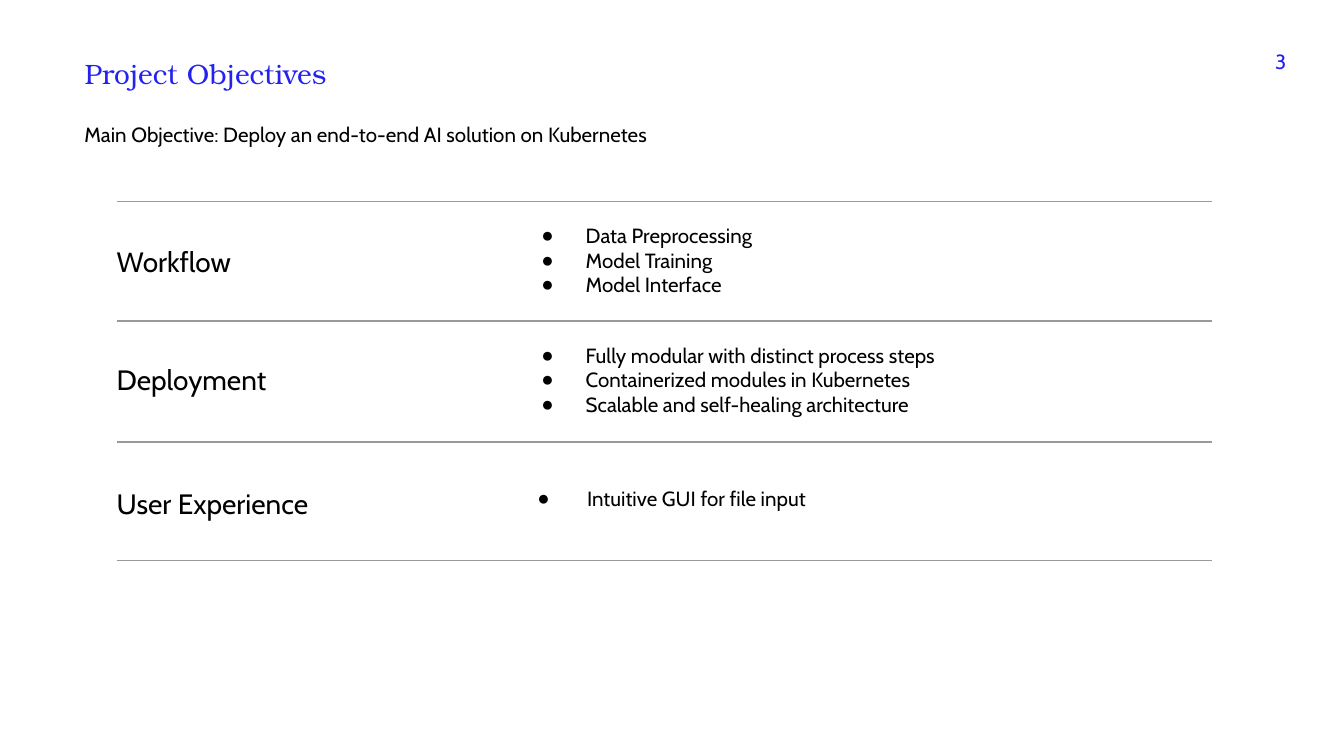
"""Build the project objectives slide with ruled rows of headings and bullets."""
from lxml.etree import SubElement
from pptx import Presentation
from pptx.dml.color import RGBColor
from pptx.enum.shapes import MSO_CONNECTOR
from pptx.enum.text import MSO_ANCHOR, MSO_AUTO_SIZE, PP_ALIGN
from pptx.oxml.ns import qn
from pptx.util import Inches, Pt

TITLE = "Project Objectives"
SUBTITLE = "Main Objective: Deploy an end-to-end AI solution on Kubernetes"
PAGE_NUMBER = "3"
OBJECTIVES = [
    {"heading": "Workflow", "heading_top": 1.72, "bullets_top": 1.56,
     "bullets_height": 0.77, "bullets_left": 3.76, "indent": (0.5, -0.33),
     "bullets": ["Data Preprocessing", "Model Training", "Model Interface"]},
    {"heading": "Deployment", "heading_top": 2.6, "bullets_top": 2.45,
     "bullets_height": 0.58, "bullets_left": 3.76, "indent": (0.5, -0.33),
     "bullets": ["Fully modular with distinct process steps",
                 "Containerized modules in Kubernetes",
                 "Scalable and self-healing architecture"]},
    {"heading": "User Experience", "heading_top": 3.52, "bullets_top": 3.52,
     "bullets_height": 0.36, "bullets_left": 3.73, "indent": (0.54, -0.37),
     "bullets": ["Intuitive GUI for file input"]},
]
RULE_TOPS = [1.5, 2.39, 3.29, 4.17]
RULE_LEFT, RULE_RIGHT = 0.87, 9.02

COLORS = {"text": "000000", "accent": "2322EF", "rule": "999999"}
STYLES = {
    "title": {"name": "TeX Gyre Bonum", "size": Pt(15), "color": "accent"},
    "heading": {"name": "Cabin", "size": Pt(15), "color": "text"},
    "body": {"name": "Cabin", "size": Pt(11), "color": "text"},
    "number": {"name": "Cabin", "size": Pt(11), "color": "accent"},
}
FRAME = {
    "word_wrap": True, "auto_size": MSO_AUTO_SIZE.NONE,
    "vertical_anchor": MSO_ANCHOR.TOP,
    "margin_left": Inches(0.1), "margin_right": Inches(0.1),
    "margin_top": Inches(0.1), "margin_bottom": Inches(0.1),
}


def write_text(shape, lines, style, alignment=PP_ALIGN.LEFT):
    """Fill a shape with one paragraph per line in a named style."""
    frame = shape.text_frame
    for name, value in FRAME.items():
        setattr(frame, name, value)
    frame.text = "\n".join(lines)
    for paragraph in frame.paragraphs:
        paragraph.alignment = alignment
        font = paragraph.runs[0].font
        for name in ("name", "size"):
            setattr(font, name, STYLES[style][name])
        font.color.rgb = RGBColor.from_string(COLORS[STYLES[style]["color"]])


def add_text(slide, box, lines, style, alignment=PP_ALIGN.LEFT):
    """Add a text box at left, top, width and height in inches."""
    shape = slide.shapes.add_textbox(*map(Inches, box))
    write_text(shape, lines, style, alignment)
    return shape


def add_bullets(shape, indent):
    """Give each paragraph a hanging round bullet."""
    margin, hang = map(Inches, indent)
    for paragraph in shape.text_frame.paragraphs:
        properties = paragraph._p.get_or_add_pPr()
        properties.set("marL", str(margin))
        properties.set("indent", str(hang))
        color = SubElement(properties, qn("a:buClr"))
        SubElement(color, qn("a:srgbClr"), val=COLORS["text"])
        SubElement(properties, qn("a:buFont"), typeface="Arial")
        SubElement(properties, qn("a:buChar"), char="●")


def add_rule(slide, top):
    """Draw a thin horizontal rule across the rows."""
    rule = slide.shapes.add_connector(
        MSO_CONNECTOR.STRAIGHT, Inches(RULE_LEFT), Inches(top),
        Inches(RULE_RIGHT), Inches(top))
    rule.line.color.rgb = RGBColor.from_string(COLORS["rule"])
    rule.line.width = Pt(0.75)
    SubElement(rule._element.spPr, qn("a:effectLst"))


def main():
    """Assemble and save the slide."""
    presentation = Presentation()
    presentation.slide_width = Inches(10)
    presentation.slide_height = presentation.slide_width * 9 // 16
    slide = presentation.slides.add_slide(presentation.slide_layouts[5])

    title = slide.shapes.title
    title_box = {"left": 0.53, "top": 0.32, "width": 3.93, "height": 0.37}
    for name, value in title_box.items():
        setattr(title, name, Inches(value))
    write_text(title, [TITLE], "title")
    add_text(slide, (0.53, 0.81, 5.33, 0.41), [SUBTITLE], "body")

    for row in OBJECTIVES:
        add_text(slide, (0.77, row["heading_top"], 2.23, 0.42),
                 [row["heading"]], "heading")
        bullets = add_text(
            slide, (row["bullets_left"], row["bullets_top"], 5.26,
                    row["bullets_height"]), row["bullets"], "body")
        add_bullets(bullets, row["indent"])
    for top in RULE_TOPS:
        add_rule(slide, top)

    add_text(slide, (9.29, 0.27, 0.38, 0.19), [PAGE_NUMBER], "number",
             PP_ALIGN.RIGHT)
    presentation.save("out.pptx")


if __name__ == "__main__":
    main()
